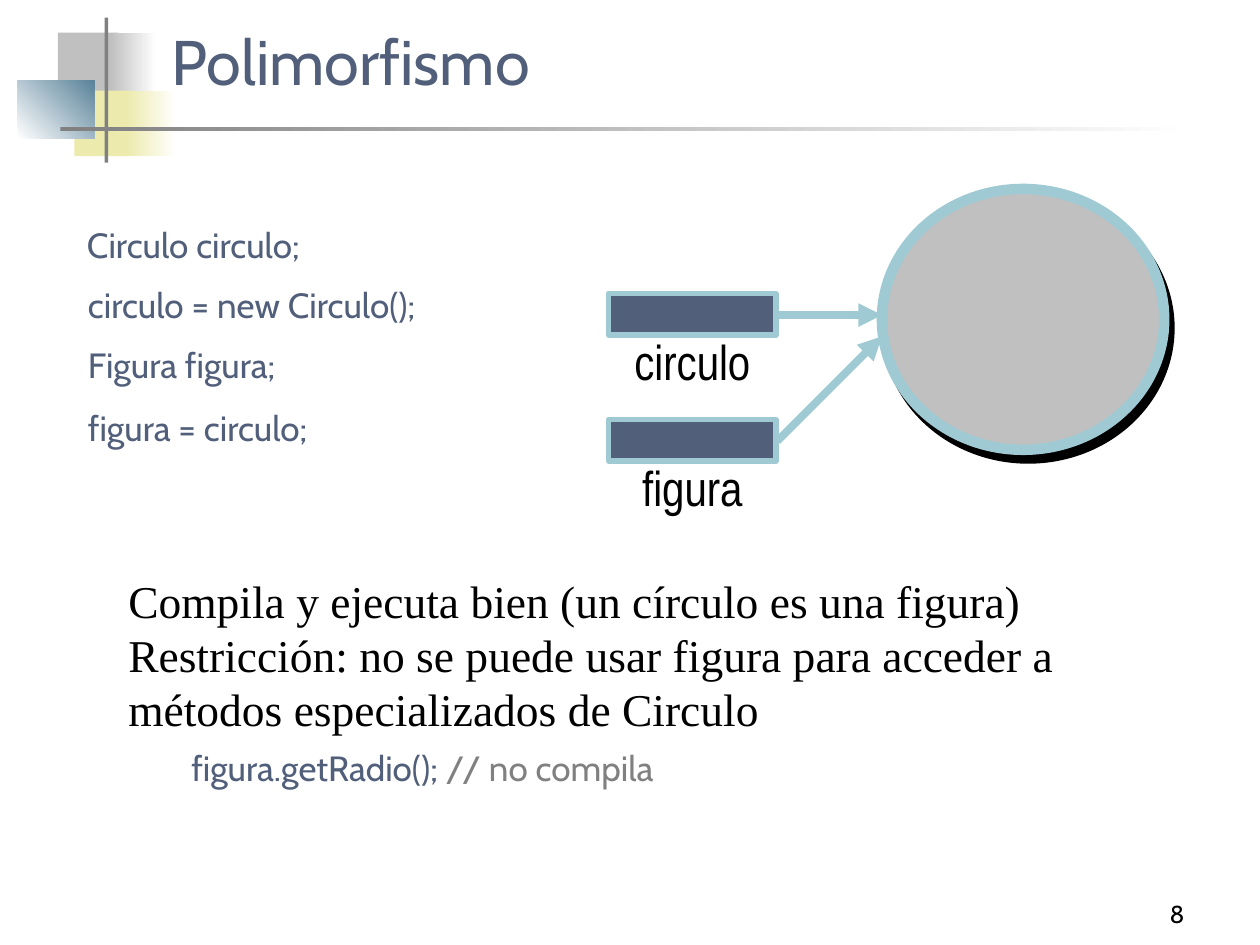
"""Build the Polimorfismo slide: code lines, object references and a restriction."""
from pptx import Presentation, util as u
from pptx.dml.color import RGBColor
from pptx.enum import shapes, text
from pptx.oxml import parse_xml
from pptx.oxml.ns import nsdecls

INK, AQUA, GRAY, SILVER, CREAM = "515F7B", "9FCAD3", "808080", "C0C0C0", "ECEAAC"
LEFT, CENTER, RIGHT = text.PP_ALIGN.LEFT, text.PP_ALIGN.CENTER, text.PP_ALIGN.RIGHT
TOP, BOTTOM = text.MSO_ANCHOR.TOP, text.MSO_ANCHOR.BOTTOM
RECTANGLE, OVAL = shapes.MSO_SHAPE.RECTANGLE, shapes.MSO_SHAPE.OVAL


def add_figure(kind, place, colors, angle=0, border=0):
    """Add a shape with a plain or two-colour gradient fill."""
    figure = page.shapes.add_shape(kind, *map(u.Inches, place))
    figure.shadow.inherit = False
    if len(colors) == 1:
        figure.fill.solid()
        figure.fill.fore_color.rgb = RGBColor.from_string(colors[0])
    else:
        figure.fill.gradient()
        figure.fill.gradient_angle = angle
        for stop, color in zip(figure.fill.gradient_stops, colors):
            stop.color.rgb = RGBColor.from_string(color)
    if border:
        figure.line.color.rgb = RGBColor.from_string(AQUA)
        figure.line.width = u.Pt(border)
    else:
        figure.line.fill.background()
    return figure


def write(box, place, paragraphs, wrap=True, anchor=TOP, **layout):
    """Place a text holder and fill it with paragraphs of (words, size, font, colour) runs."""
    for name, value in zip(("left", "top", "width", "height"), place):
        setattr(box, name, u.Inches(value))
    frame = box.text_frame
    settings = {"word_wrap": wrap, "vertical_anchor": anchor, "auto_size": text.MSO_AUTO_SIZE.NONE}
    for name, value in settings.items():
        setattr(frame, name, value)
    for index, runs in enumerate(paragraphs):
        para = frame.add_paragraph() if index else frame.paragraphs[0]
        for name, value in layout.items():
            setattr(para, name, value)
        for words, size, font, color in runs:
            span = para.add_run()
            span.text = words
            for name, value in {"name": font, "size": u.Pt(size), "bold": False}.items():
                setattr(span.font, name, value)
            span.font.color.rgb = RGBColor.from_string(color)
    return frame.paragraphs


deck = Presentation()
deck.slide_width, deck.slide_height = u.Inches(10), u.Inches(7.5)
page = deck.slides.add_slide(deck.slide_layouts[1])

for place, colors, angle in (
    ((0.46, 0.26, 0.48, 0.52), [SILVER], 0),
    ((0.88, 0.26, 0.36, 0.52), [SILVER, "FFFFFF"], 0),
    ((0.59, 0.72, 0.46, 0.52), [CREAM], 0),
    ((1, 0.72, 0.4, 0.52), [CREAM, "FFFFFF"], 0),
    ((0.14, 0.64, 0.61, 0.46), ["FFFFFF", "5A839A"], 45),
    ((0.83, 0.14, 0.03, 1.15), [GRAY], 0),
    ((0.48, 1.01, 9, 0.03), [GRAY, "FFFFFF"], 0),
):
    add_figure(RECTANGLE, place, colors, angle)

title, body = page.placeholders
write(title, (1.26, 0.15, 8.52, 0.68), [[("Polimorfismo", 36, "Cabin", INK)]],
      anchor=BOTTOM, alignment=LEFT)
first = write(body, (0.59, 1.79, 3.56, 0.54), [[("Circulo circulo;", 20, "Cabin", INK)]],
              line_spacing=0.8, space_before=u.Pt(4))[0]
properties = first._p.get_or_add_pPr()
properties.set("marL", str(u.Inches(0.38)))
properties.set("indent", str(u.Inches(-0.38)))
properties.append(parse_xml(f"<a:buNone {nsdecls('a')}/>"))

for top, code in ((2.2, "circulo = new Circulo();"), (2.68, "Figura figura;"),
                  (3.18, "figura = circulo;")):
    box = page.shapes.add_textbox(0, 0, 0, 0)
    write(box, (0.6, top, 3.1, 0.43), [[(code, 20, "Cabin", INK)]], wrap=False)

for top, variable, target in ((2.33, "circulo", 2.5), (3.33, "figura", 2.67)):
    add_figure(RECTANGLE, (4.83, top, 1.33, 0.33), [INK], border=3)
    box = page.shapes.add_textbox(0, 0, 0, 0)
    write(box, (4.83, top + 0.25, 1.33, 0.57),
          [[(variable, 28, "Arial Narrow", "000000")]], wrap=False, alignment=CENTER)
    ends = map(u.Inches, (6.17, top + 0.17, 7, target))
    arrow = page.shapes.add_connector(shapes.MSO_CONNECTOR.STRAIGHT, *ends)
    arrow.line.color.rgb = RGBColor.from_string(AQUA)
    arrow.line.width = u.Pt(4.5)
    arrow.line._get_or_add_ln().append(parse_xml(f'<a:tailEnd {nsdecls("a")} type="triangle"/>'))
    arrow._element.spPr.append(parse_xml(f"<a:effectLst {nsdecls('a')}/>"))

instance = add_figure(OVAL, (7, 1.5, 2.24, 2.07), [SILVER], border=6)
instance._element.spPr.effectLst.append(parse_xml(
    f'<a:outerShdw {nsdecls("a")} blurRad="0" dist="{u.Pt(5.8)}" dir="{59 * 60000}" '
    'algn="ctr" rotWithShape="0"><a:srgbClr val="000000"/></a:outerShdw>'))

notes = [
    [("Compila y ejecuta bien (un círculo es una figura)", 26, "Times New Roman", "000000")],
    [("Restricción: no se puede usar figura para acceder a métodos especializados de Circulo",
      26, "Times New Roman", "000000")],
    [("\t", 26, "Times New Roman", INK), ("figura.getRadio(); ", 20, "Cabin", INK),
     ("// no compila", 20, "Cabin", GRAY)],
]
box = page.shapes.add_textbox(0, 0, 0, 0)
lines = write(box, (0.42, 4.58, 8.87, 2.16), notes)
lines[0].line_spacing = 0.8
for para in lines:
    para._p.get_or_add_pPr().set("marL", str(u.Inches(0.5)))

box = page.shapes.add_textbox(0, 0, 0, 0)
write(box, (7.42, 6.92, 2.08, 0.5), [[("8", 14, "Cabin", "000000")]],
      anchor=BOTTOM, alignment=RIGHT)

deck.save("out.pptx")
